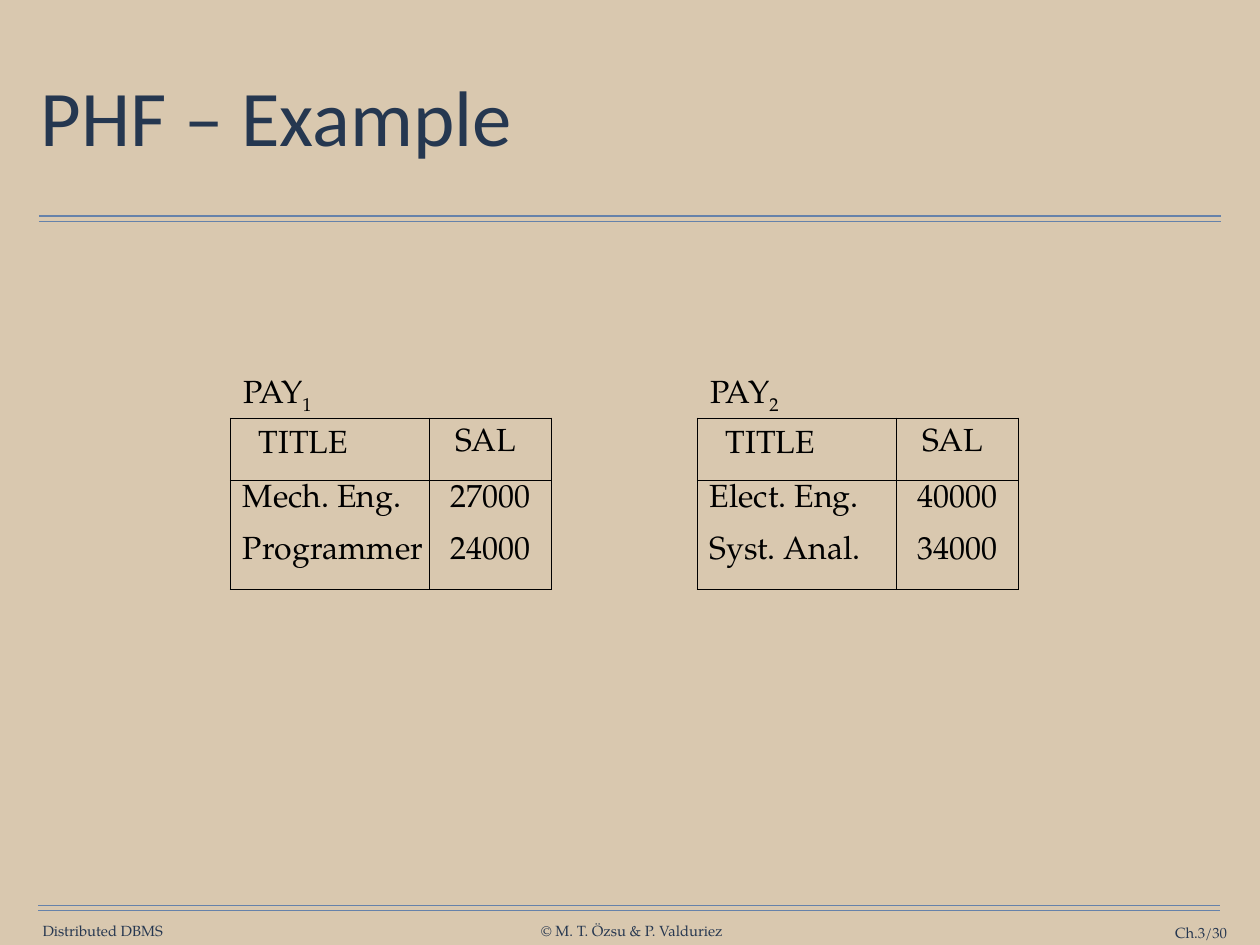
from lxml.etree import SubElement as Sub
from pptx import Presentation
from pptx.dml.color import RGBColor as Rgb
from pptx.enum.shapes import MSO_CONNECTOR as Conn
from pptx.enum.text import MSO_ANCHOR as Anchor, PP_ALIGN as Align
from pptx.oxml.ns import qn
from pptx.util import Inches, Pt

COLS, ROWS = 142.2, 106.7
INK = {"sand": "D9C8AF", "rule": "6682AA", "foot": "263750",
       "title": "253750", "text": "000000"}
SERIF, SANS = "TeX Gyre Pagella", "Calibri"


def unit(count):
    """Turn grid units, ten to the inch, into a length."""
    return Inches(count / 10)


def style(para, face, size, ink, align=Align.LEFT):
    """Set the font and alignment of a paragraph."""
    font = para.font
    font.name, font.size = face, Pt(size)
    font.color.rgb = Rgb.from_string(INK[ink])
    para.alignment = align


def label(slide, box, text, face, size, ink, align=Align.LEFT, wrap=False):
    """Add a text box without insets and return its paragraph."""
    frame = slide.shapes.add_textbox(*map(unit, box)).text_frame
    frame.margin_left = frame.margin_right = 0
    frame.margin_top = frame.margin_bottom = 0
    frame.word_wrap = wrap
    frame.vertical_anchor = Anchor.MIDDLE
    para = frame.paragraphs[0]
    para.add_run().text = text
    style(para, face, size, ink, align)
    return para


def rules(slide, box):
    """Draw a rule along the top and the bottom of the box."""
    left, top, width, height = box
    for y in (top, top + height):
        line = slide.shapes.add_connector(
            Conn.STRAIGHT, unit(left), unit(y), unit(left + width), unit(y))
        line.line.color.rgb = Rgb.from_string(INK["rule"])
        line.line.width = Pt(1)
        Sub(line._element.spPr, qn("a:effectLst"))


def header(slide, box):
    """Place the title and the double rule under it."""
    left, top, width, height = box
    para = label(slide, (left + 0.2, top, width - 0.4, height),
                 "PHF – Example", SANS, 64, "title", wrap=True)
    para.line_spacing = 0.9
    rules(slide, (left, top + height + 1.9, width, 0.6))


def footer(slide, box):
    """Place the double rule and the three notes under it."""
    left, top, width, height = box
    rules(slide, (left, top, width, 0.6))
    notes = (("Distributed DBMS", 0.4, 13.8, 0, Align.CENTER),
             ("© M. T. Özsu & P. Valduriez", 56.6, 20.8, 0, Align.CENTER),
             ("Ch.3/30", 118.8, 15.4, 0.2, Align.RIGHT))
    for text, x, wide, drop, align in notes:
        label(slide, (left + x, top + height - 2 + drop, wide, 2),
              text, SERIF, 12, "foot", align)


def border(cell, drawn):
    """Line the named sides of a cell and clear the others."""
    props = cell._tc.get_or_add_tcPr()
    for side in "LRTB":
        edge = Sub(props, qn("a:ln" + side), w=str(Pt(1)))
        if side in drawn:
            fill = Sub(edge, qn("a:solidFill"))
            Sub(fill, qn("a:srgbClr"), val=INK["text"])
        else:
            Sub(edge, qn("a:noFill"))


def relation(slide, box, index, data):
    """Place a relation's name and its table of tuples."""
    left, top, width, height = box
    name = label(slide, (left + 1.5, top - 5, 8.2, 4.4), "PAY", SERIF, 26, "text")
    sub = name.add_run()
    sub.text = index
    sub._r.get_or_add_rPr().set("baseline", "-25000")

    table = slide.shapes.add_table(len(data), 2, *map(unit, box)).table
    table.first_row = table.horz_banding = False
    for col, share in zip(table.columns, (0.62, 0.38)):
        col.width = unit(width * share)
    for row, tall in zip(table.rows, (7.1, 5.9, height - 13)):
        row.height = unit(tall)
    sides = ["LRTB", "LRT"] + ["LRB"] * (len(data) - 2)
    pads = [((3.2, 1.4), (3, 1.1))] + [((1.4, 0.4), (2.4, 0.4))] * (len(data) - 1)
    for r, values in enumerate(data):
        for c, value in enumerate(values):
            cell = table.cell(r, c)
            border(cell, sides[r])
            cell.fill.solid()
            cell.fill.fore_color.rgb = Rgb.from_string(INK["sand"])
            cell.margin_left, cell.margin_top = map(unit, pads[r][c])
            cell.margin_right = cell.margin_bottom = 0
            cell.text = value
            style(cell.text_frame.paragraphs[0], SERIF, 26, "text")


def main():
    """Build the slide and save it."""
    deck = Presentation()
    deck.slide_width, deck.slide_height = unit(COLS), unit(ROWS)
    slide = deck.slides.add_slide(deck.slide_layouts[6])
    back = slide.background.fill
    back.solid()
    back.fore_color.rgb = Rgb.from_string(INK["sand"])
    header(slide, (4.4, 4.9, 133.4, 17.6))
    footer(slide, (4.3, 102.2, 133.4, 3.9))
    head = ("TITLE", "SAL")
    pays = ((("Mech. Eng.", "27000"), ("Programmer", "24000")),
            (("Elect. Eng.", "40000"), ("Syst. Anal.", "34000")))
    for i, pay in enumerate(pays):
        relation(slide, (26 + 52.7 * i, 47.2, 36.2, 19.4), str(i + 1), (head, *pay))
    deck.save("out.pptx")


if __name__ == "__main__":
    main()
